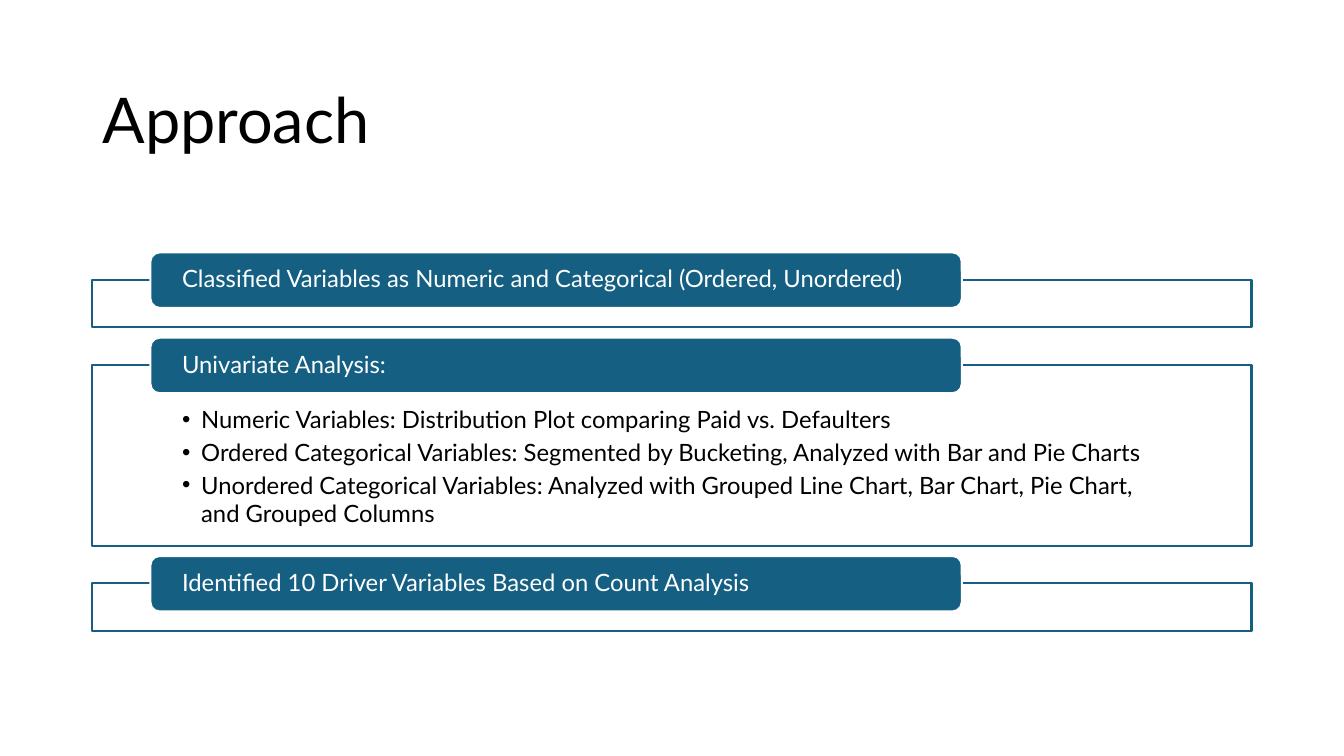
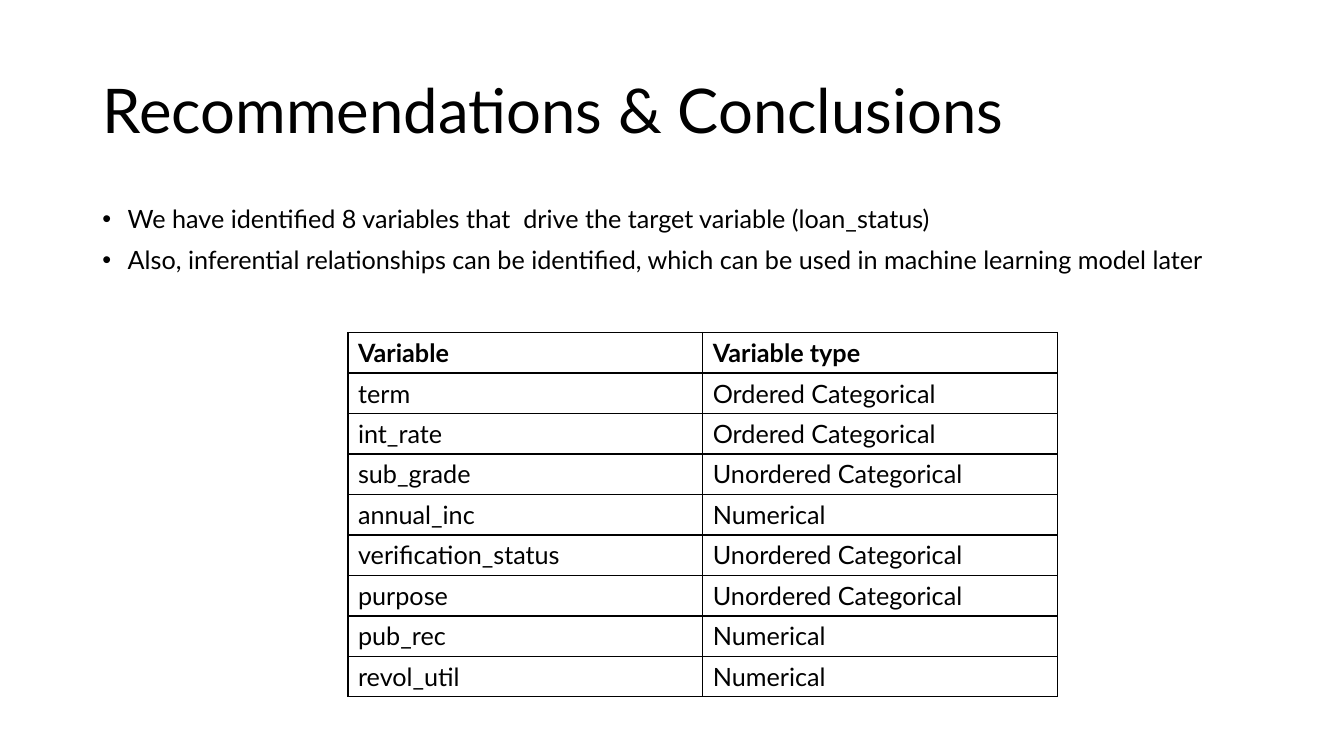
"""Build two slides: the analysis approach, and the conclusions with driver variables."""
from lxml.etree import SubElement
from pptx import Presentation
from pptx.dml.color import RGBColor
from pptx.enum.shapes import MSO_SHAPE
from pptx.enum.text import MSO_ANCHOR, MSO_AUTO_SIZE, PP_ALIGN
from pptx.oxml.ns import qn
from pptx.util import Cm, Pt

COLORS = {"text": "000000", "accent": "156082", "paper": "FFFFFF"}
FONT = "Lato"
LEFT, WIDTH = Cm(2.33), Cm(29.21)


def write(paragraph, text, size, color="text", bold=False):
    """Add one styled run to a left-aligned paragraph."""
    paragraph.alignment = PP_ALIGN.LEFT
    run = paragraph.add_run()
    run.text = text
    run.font.name = FONT
    run.font.size = Pt(size)
    run.font.bold = bold
    run.font.color.rgb = RGBColor.from_string(COLORS[color])


def write_bullets(frame, lines, size, indent, line_spacing, before, after):
    """Fill a text frame with one bulleted paragraph per line."""
    for number, line in enumerate(lines):
        paragraph = frame.add_paragraph() if number else frame.paragraphs[0]
        paragraph.line_spacing = line_spacing
        paragraph.space_before = Pt(before)
        paragraph.space_after = Pt(after)
        properties = paragraph._p.get_or_add_pPr()
        properties.set("marL", str(indent))
        properties.set("indent", str(-indent))
        SubElement(properties, qn("a:buFont"), typeface="Arial")
        SubElement(properties, qn("a:buChar"), char="•")
        write(paragraph, line, size)


deck = Presentation()
deck.slide_width, deck.slide_height = Cm(33.87), Cm(19.05)

slides = []
for heading, top, height, size in [
    ("Approach", Cm(1.54), Cm(3.14), 45),
    ("Recommendations & Conclusions", Cm(1.01), Cm(3.68), 44),
]:
    slide = deck.slides.add_slide(deck.slide_layouts[5])
    title = slide.shapes.title
    title.left, title.top, title.width, title.height = LEFT, top, WIDTH, height
    title.text_frame.auto_size = MSO_AUTO_SIZE.NONE
    title.text_frame.vertical_anchor = MSO_ANCHOR.MIDDLE
    title.text_frame.paragraphs[0].line_spacing = 0.9
    write(title.text_frame.paragraphs[0], heading, size)
    slides.append(slide)
approach, conclusions = slides

steps = [
    ("Classified Variables as Numeric and Categorical (Ordered, Unordered)", Cm(1.2), []),
    ("Univariate Analysis:", Cm(4.55), [
        "Numeric Variables: Distribution Plot comparing Paid vs. Defaulters",
        "Ordered Categorical Variables: Segmented by Bucketing, Analyzed with Bar and Pie Charts",
        "Unordered Categorical Variables: Analyzed with Grouped Line Chart, Bar Chart, Pie Chart, "
        "and Grouped Columns",
    ]),
    ("Identified 10 Driver Variables Based on Count Analysis", Cm(1.2), []),
]
step_top = Cm(7.05)
for label, step_height, details in steps:
    panel = approach.shapes.add_shape(MSO_SHAPE.RECTANGLE, LEFT, step_top, WIDTH, step_height)
    tab = approach.shapes.add_shape(
        MSO_SHAPE.ROUNDED_RECTANGLE, Cm(3.79), step_top - Cm(0.69), Cm(20.45), Cm(1.4))
    for shape, fill, line in [(panel, "paper", "accent"), (tab, "accent", "paper")]:
        shape.shadow.inherit = False
        shape.fill.solid()
        shape.fill.fore_color.rgb = RGBColor.from_string(COLORS[fill])
        shape.line.color.rgb = RGBColor.from_string(COLORS[line])
        shape.line.width = Pt(1.5)

    tab_text = tab.text_frame
    tab_text.margin_left = tab_text.margin_right = Cm(0.73)
    tab_text.margin_top = tab_text.margin_bottom = 0
    tab_text.vertical_anchor = MSO_ANCHOR.MIDDLE
    tab_text.paragraphs[0].line_spacing = 0.9
    write(tab_text.paragraphs[0], label, 17, "paper")

    panel_text = panel.text_frame
    panel_text.margin_left = panel_text.margin_right = Cm(2.26)
    panel_text.margin_top, panel_text.margin_bottom = Cm(1), Cm(0.33)
    panel_text.vertical_anchor = MSO_ANCHOR.TOP
    write_bullets(panel_text, details, 17, Cm(0.48), 1, 0, 3)
    step_top += step_height + Cm(0.95)

findings = conclusions.shapes.add_textbox(LEFT, Cm(5.08), WIDTH, Cm(2.6)).text_frame
findings.word_wrap = True
write_bullets(findings, [
    "We have identified 8 variables that  drive the target variable (loan_status)",
    "Also, inferential relationships can be identified, which can be used in machine learning model later",
], 18, Cm(0.64), 0.9, 10, 0)

variables = [
    ("Variable", "Variable type"),
    ("term", "Ordered Categorical"),
    ("int_rate", "Ordered Categorical"),
    ("sub_grade", "Unordered Categorical"),
    ("annual_inc", "Numerical"),
    ("verification_status", "Unordered Categorical"),
    ("purpose", "Unordered Categorical"),
    ("pub_rec", "Numerical"),
    ("revol_util", "Numerical"),
]
variable_table = conclusions.shapes.add_table(
    len(variables), 2, Cm(8.77), Cm(8.38), Cm(17.88), Cm(1.02) * len(variables)).table
for row, entries in enumerate(variables):
    for column, entry in enumerate(entries):
        cell = variable_table.cell(row, column)
        cell.vertical_anchor = MSO_ANCHOR.MIDDLE
        write(cell.text_frame.paragraphs[0], entry, 18, bold=row == 0)
        cell_properties = cell._tc.get_or_add_tcPr()
        for side in ("a:lnL", "a:lnR", "a:lnT", "a:lnB"):
            border = SubElement(cell_properties, qn(side), w=str(Pt(1)))
            border_fill = SubElement(border, qn("a:solidFill"))
            SubElement(border_fill, qn("a:srgbClr"), val=COLORS["text"])
        cell.fill.background()

deck.save("out.pptx")
